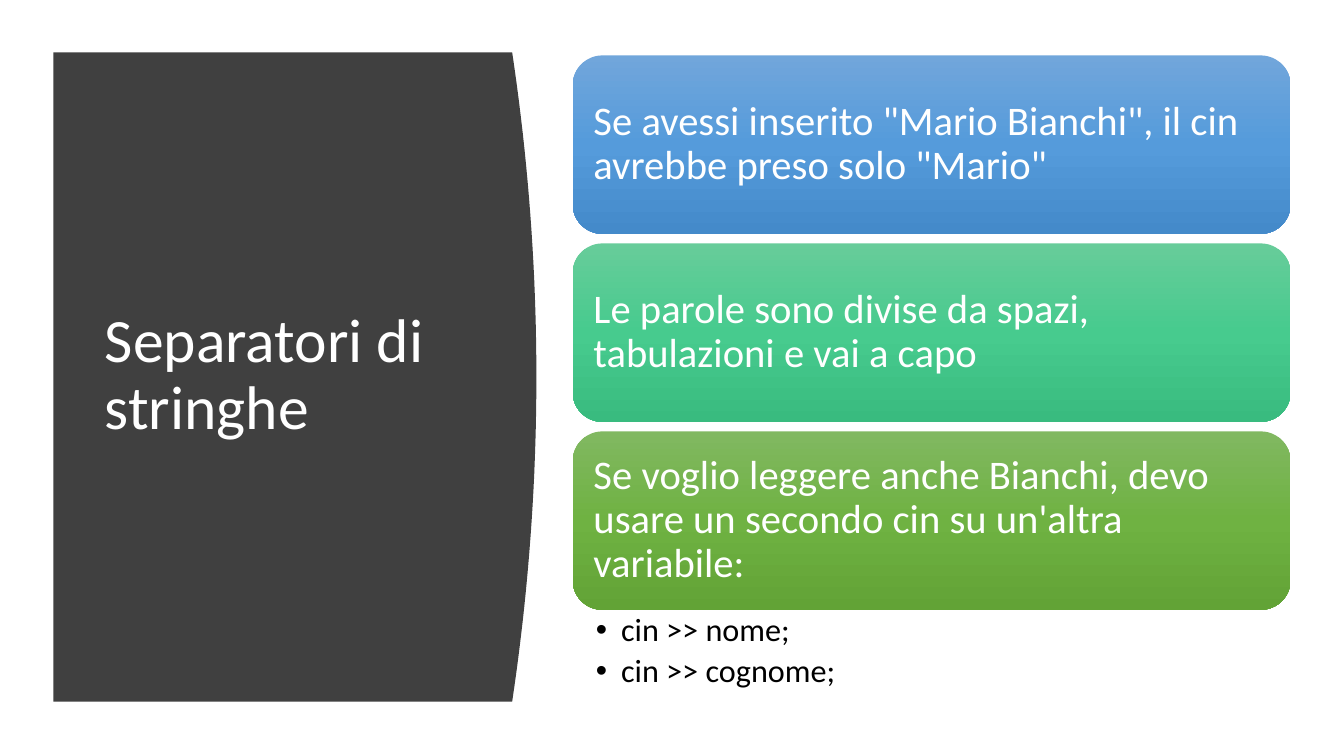
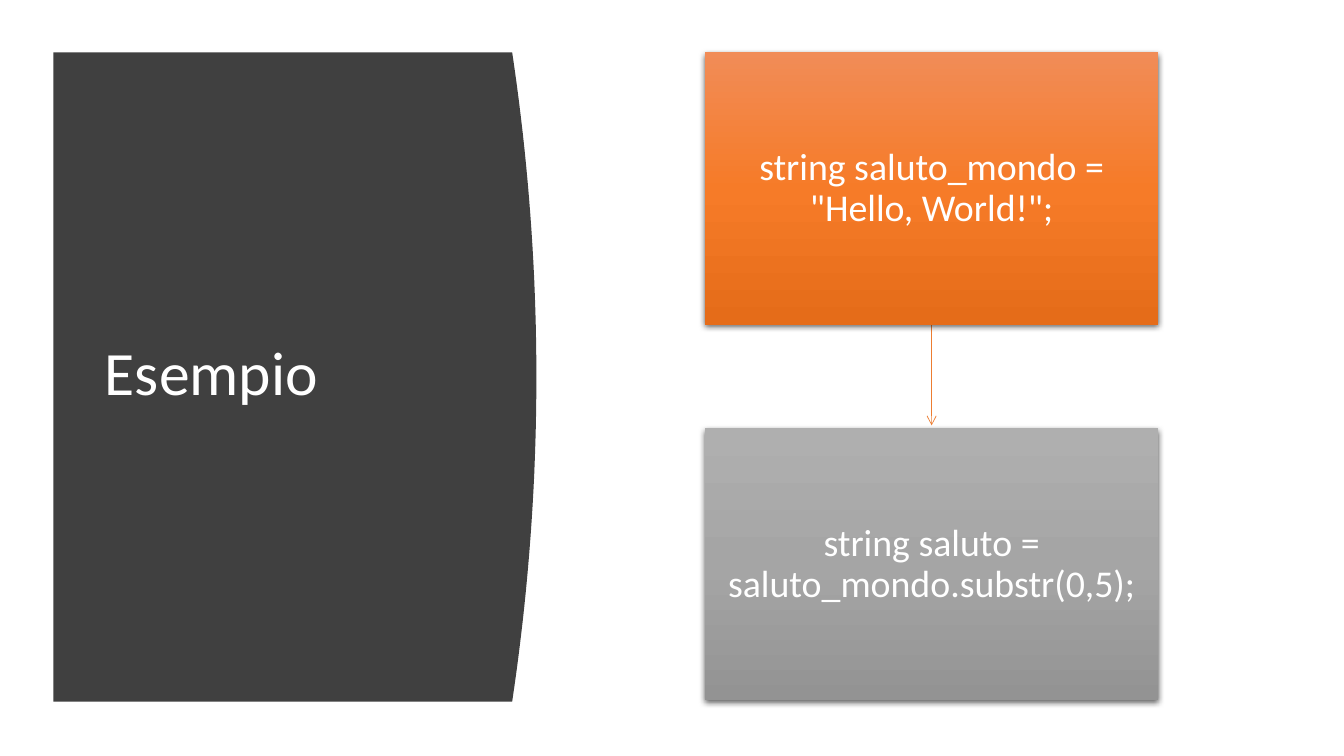
from copy import deepcopy
from dataclasses import dataclass

from pptx import Presentation
from pptx.dml.color import RGBColor
from pptx.enum import shapes as kinds, text as txt
from pptx.oxml import parse_xml
from pptx.oxml.ns import nsdecls, qn
from pptx.util import Inches, Pt


@dataclass(frozen=True)
class Theme:
    font: str = "Calibri"
    panel: str = "404040"
    light: str = "FFFFFF"
    dark: str = "000000"
    arrow: str = "ED7D31"
    blue: tuple = ("71A6DB", "559BDB", "448ACA")
    teal: tuple = ("67CC9A", "47CB8E", "39BB7F")
    green: tuple = ("81B861", "6FB242", "62A336")
    orange: tuple = ("F18C57", "F67B28", "E56C19")
    gray: tuple = ("AFAFAF", "A5A5A5", "939393")
    title_size: int = 44
    card_size: int = 29
    code_size: int = 27
    list_size: int = 23


THEME = Theme()
PANEL_LEFT, PANEL_TOP, PANEL_BOTTOM = 0.53, 0.52, 6.96
PANEL_EDGE, PANEL_BULGE, CURVE_STEPS = 5.08, 0.24, 40


def style_text(frame, size, color, align, anchor, inset_x, inset_y):
    frame.word_wrap = True
    frame.auto_size = txt.MSO_AUTO_SIZE.NONE
    frame.vertical_anchor = anchor
    frame.margin_left = frame.margin_right = Inches(inset_x)
    frame.margin_top = frame.margin_bottom = Inches(inset_y)
    for paragraph in frame.paragraphs:
        paragraph.alignment = align
        paragraph.line_spacing = 0.9
        paragraph.space_before = Pt(0)
        for run in paragraph.runs:
            run.font.name = THEME.font
            run.font.size = Pt(size)
            run.font.color.rgb = RGBColor.from_string(color)


def add_card(slide, preset, box, colors, words):
    """Add a borderless shape with a three-stop gradient from top to bottom."""
    card = slide.shapes.add_shape(preset, *map(Inches, box))
    card.shadow.inherit = False
    card.line.fill.background()
    card.fill.gradient()
    card.fill.gradient_angle = 270
    stops = card.element.spPr.find(".//" + qn("a:gsLst"))
    stops.append(deepcopy(stops[-1]))
    for stop, position, color in zip(card.fill.gradient_stops, (0, 0.5, 1), colors):
        stop.position = position
        stop.color.rgb = RGBColor.from_string(color)
    card.text_frame.text = words
    return card


prs = Presentation()
prs.slide_width, prs.slide_height = Inches(13.33), Inches(7.5)
title_and_content, title_only = prs.slide_layouts[1], prs.slide_layouts[5]
separators = prs.slides.add_slide(title_and_content)
example = prs.slides.add_slide(title_only)

# Shared dark panel with a curved right edge, and the title on it
middle = (PANEL_TOP + PANEL_BOTTOM) / 2
half = (PANEL_BOTTOM - PANEL_TOP) / 2
curve = []
for step in range(CURVE_STEPS + 1):
    offset = 2 * step / CURVE_STEPS - 1
    curve.append((Inches(PANEL_EDGE + PANEL_BULGE * (1 - offset ** 2)),
                  Inches(middle + half * offset)))

for slide, heading in ((separators, "Separatori di stringhe"), (example, "Esempio")):
    outline = slide.shapes.build_freeform(Inches(PANEL_LEFT), Inches(PANEL_TOP))
    outline.add_line_segments(curve + [(Inches(PANEL_LEFT), Inches(PANEL_BOTTOM))])
    panel = outline.convert_to_shape()
    panel.shadow.inherit = False
    panel.fill.solid()
    panel.fill.fore_color.rgb = RGBColor.from_string(THEME.panel)
    panel.line.fill.background()

    title = slide.shapes.title
    title.element.addprevious(panel.element)
    title.left, title.top, title.width, title.height = map(Inches, (0.94, 1.11, 3.74, 5.24))
    title.text_frame.text = heading
    style_text(title.text_frame, THEME.title_size, THEME.light,
               txt.PP_ALIGN.LEFT, txt.MSO_ANCHOR.MIDDLE, 0.1, 0.05)

# Slide 1: three stacked rules, then the code lines
RULE_LEFT, RULE_TOP, RULE_WIDTH, RULE_HEIGHT, RULE_PITCH = 5.68, 0.55, 7.12, 1.77, 1.865
rules = (
    (THEME.blue, 'Se avessi inserito "Mario Bianchi", il cin avrebbe preso solo "Mario"'),
    (THEME.teal, "Le parole sono divise da spazi, tabulazioni e vai a capo"),
    (THEME.green, "Se voglio leggere anche Bianchi, devo usare un secondo cin su un'altra variabile:"),
)
for row, (colors, words) in enumerate(rules):
    box = (RULE_LEFT, RULE_TOP + row * RULE_PITCH, RULE_WIDTH, RULE_HEIGHT)
    rule = add_card(separators, kinds.MSO_SHAPE.ROUNDED_RECTANGLE, box, colors, words)
    style_text(rule.text_frame, THEME.card_size, THEME.light,
               txt.PP_ALIGN.LEFT, txt.MSO_ANCHOR.MIDDLE, 0.12, 0.12)

reads = separators.placeholders[1]
reads.left, reads.top, reads.width, reads.height = map(Inches, (RULE_LEFT, 6.05, RULE_WIDTH, 0.87))
reads.text_frame.text = "cin >> nome;\ncin >> cognome;"
for paragraph in reads.text_frame.paragraphs:
    indents = paragraph._p.get_or_add_pPr()
    indents.set("marL", str(Inches(0.25)))
    indents.set("indent", str(Inches(-0.25)))
    paragraph.space_after = Pt(4.6)
style_text(reads.text_frame, THEME.list_size, THEME.dark,
           txt.PP_ALIGN.LEFT, txt.MSO_ANCHOR.TOP, 0.23, 0.04)

# Slide 2: two code steps joined by an arrow
STEP_LEFT, STEP_WIDTH, STEP_HEIGHT = 6.99, 4.5, 2.7
STEP_TOPS = (0.52, 4.25)
arrow_x = Inches(STEP_LEFT + STEP_WIDTH / 2)
arrow = example.shapes.add_connector(
    kinds.MSO_CONNECTOR.STRAIGHT,
    arrow_x, Inches(STEP_TOPS[0] + STEP_HEIGHT), arrow_x, Inches(STEP_TOPS[1] - 0.03))
arrow.line.color.rgb = RGBColor.from_string(THEME.arrow)
arrow.line.width = Pt(0.5)
arrow.line._get_or_add_ln().append(parse_xml(f'<a:tailEnd {nsdecls("a")} type="arrow"/>'))
arrow.element.spPr.append(parse_xml(f'<a:effectLst {nsdecls("a")}/>'))

steps = (
    (THEME.orange, 'string saluto_mondo = "Hello, World!";'),
    (THEME.gray, "string saluto = saluto_mondo.substr(0,5);"),
)
for top, (colors, code) in zip(STEP_TOPS, steps):
    box = (STEP_LEFT, top, STEP_WIDTH, STEP_HEIGHT)
    step = add_card(example, kinds.MSO_SHAPE.RECTANGLE, box, colors, code)
    step.element.spPr.find(qn("a:effectLst")).append(parse_xml(
        f'<a:outerShdw {nsdecls("a")} blurRad="{Pt(4.5)}" dist="{Pt(1.5)}" dir="5400000"'
        ' algn="ctr" rotWithShape="0"><a:srgbClr val="000000"><a:alpha val="63000"/>'
        '</a:srgbClr></a:outerShdw>'))
    style_text(step.text_frame, THEME.code_size, THEME.light,
               txt.PP_ALIGN.CENTER, txt.MSO_ANCHOR.MIDDLE, 0.22, 0.23)

prs.save("out.pptx")
